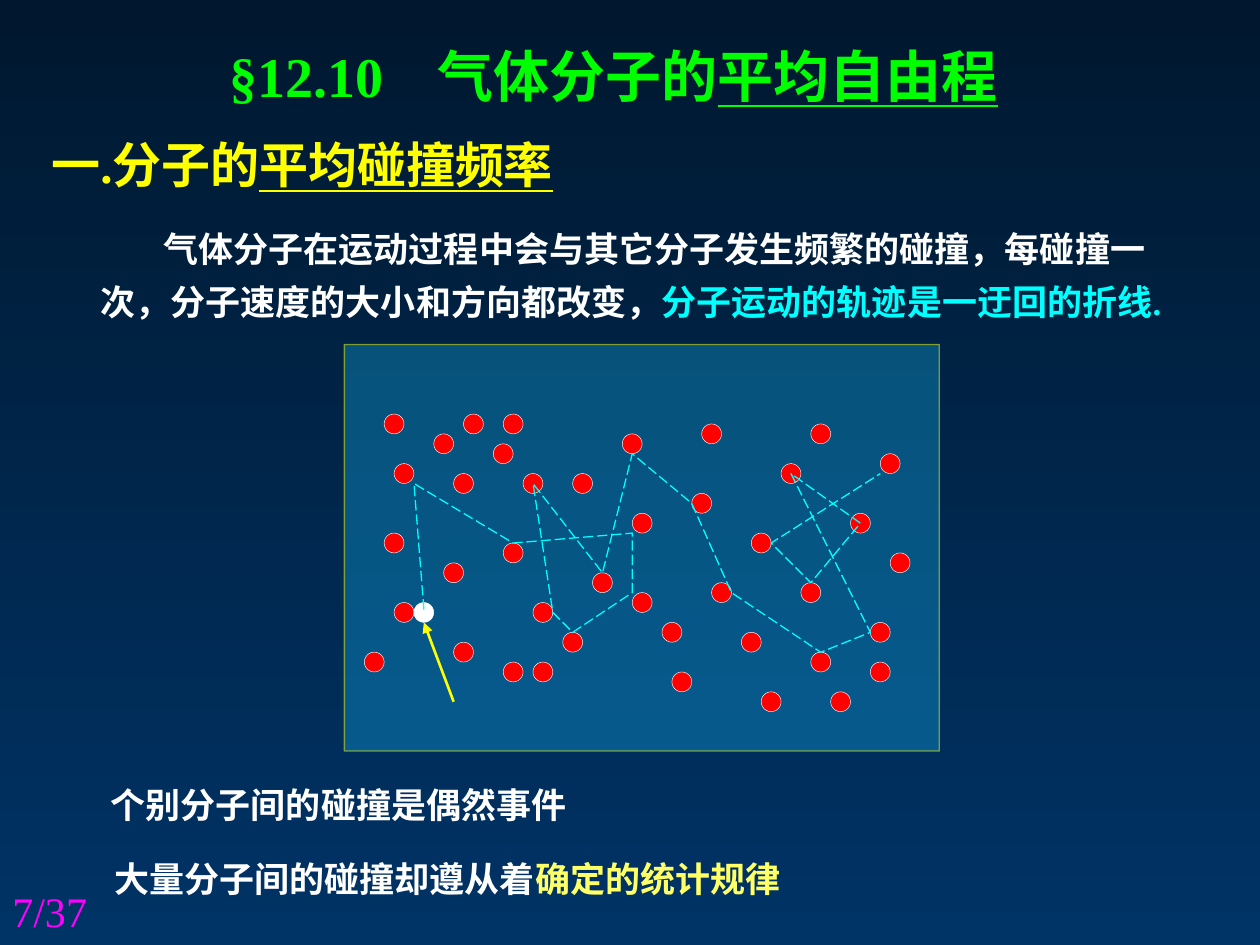
import lxml.etree
import pptx
import pptx.dml.color
import pptx.enum.dml
import pptx.enum.shapes
import pptx.enum.text
import pptx.oxml.ns
import pptx.util

Pt = pptx.util.Pt
qn = pptx.oxml.ns.qn

COLORS = {
    "night": "00182F", "navy": "003366", "panel": "17C2FF",
    "yellow": "FFFF00", "pale": "FFFF66", "white": "FFFFFF",
    "red": "FF0000", "cyan": "00FFFF", "green": "00FF00", "magenta": "FF00FF",
}
FONT = "Times New Roman"
GRID_LEFT, GRID_TOP, GRID_STEP = 208.2, 236.6, 5.67
DIAMETER = 2 * GRID_STEP

MOLECULES = [
    (0, 24), (2, 12), (3, 19), (2, 0), (7, 2), (10, 0), (13, 3), (14, 0),
    (3, 5), (9, 6), (8, 15), (9, 23), (14, 25), (17, 25), (40, 28), (47, 28),
    (34, 1), (45, 1), (42, 5), (52, 4), (26, 2), (33, 8), (49, 10), (53, 14),
    (39, 12), (27, 18), (31, 26), (30, 21), (35, 17), (38, 22), (45, 24),
    (51, 21), (51, 25), (44, 17), (21, 6), (16, 6), (14, 13), (17, 19),
    (20, 22), (23, 16), (27, 10),
]
TRACK = [
    (6, 19.7), (5, 7), (15, 13), (27, 12), (27, 18), (21, 22), (19, 20),
    (17, 7), (24, 16), (27, 4), (33, 9), (37, 18), (46, 24), (51, 22),
    (43, 6), (50, 11), (45, 17), (41, 13), (52, 6),
]


def rgb(name):
    return pptx.dml.color.RGBColor.from_string(COLORS[name])


def grid(column, row):
    return Pt(GRID_LEFT + column * GRID_STEP), Pt(GRID_TOP + row * GRID_STEP)


def set_line(shape, color, width):
    shape.line.color.rgb = rgb(color)
    shape.line.width = Pt(width)


def set_alpha(fill, percent):
    color = fill.find(qn("a:srgbClr"))
    lxml.etree.SubElement(color, qn("a:alpha"), val=str(percent * 1000))


def paint_background(slide):
    fill = slide.background.fill
    fill.gradient()
    fill.gradient_angle = 270
    for stop, color, position in zip(fill.gradient_stops, ("night", "navy"), (0, 1)):
        stop.color.rgb = rgb(color)
        stop.position = position


def add_panel(slide):
    panel = slide.shapes.add_shape(
        pptx.enum.shapes.MSO_SHAPE.RECTANGLE, Pt(196.8), Pt(196.8), Pt(340), Pt(232.4))
    panel.shadow.inherit = False
    panel.fill.solid()
    panel.fill.fore_color.rgb = rgb("panel")
    set_line(panel, "yellow", 0.75)
    properties = panel._element.spPr
    set_alpha(properties.find(qn("a:solidFill")), 30)
    set_alpha(properties.find(qn("a:ln")).find(qn("a:solidFill")), 50)


def add_molecule(shapes, column, row, color):
    molecule = shapes.add_shape(
        pptx.enum.shapes.MSO_SHAPE.OVAL, *grid(column, row), Pt(DIAMETER), Pt(DIAMETER))
    molecule.shadow.inherit = False
    molecule.fill.solid()
    molecule.fill.fore_color.rgb = rgb(color)
    set_line(molecule, "white", 0.25)


def add_arrow(slide, start, end):
    arrow = slide.shapes.add_connector(
        pptx.enum.shapes.MSO_CONNECTOR.STRAIGHT, *grid(*start), *grid(*end))
    set_line(arrow, "yellow", 1.5)
    properties = arrow._element.spPr
    lxml.etree.SubElement(properties.find(qn("a:ln")), qn("a:tailEnd"), type="triangle")
    lxml.etree.SubElement(properties, qn("a:effectLst"))


def add_track(slide):
    points = [grid(*point) for point in TRACK]
    builder = slide.shapes.build_freeform(*points[0])
    builder.add_line_segments(points[1:], close=False)
    track = builder.convert_to_shape()
    track.shadow.inherit = False
    track.fill.background()
    set_line(track, "cyan", 0.75)
    track.line.dash_style = pptx.enum.dml.MSO_LINE.LONG_DASH


def add_text(slide, left, top, width, height, paragraphs, size, bold=True, spacing=None):
    box = slide.shapes.add_textbox(Pt(left), Pt(top), Pt(width), Pt(height))
    frame = box.text_frame
    frame.word_wrap = True
    if bold:
        frame.auto_size = pptx.enum.text.MSO_AUTO_SIZE.SHAPE_TO_FIT_TEXT
    for index, runs in enumerate(paragraphs):
        paragraph = frame.add_paragraph() if index else frame.paragraphs[0]
        if spacing:
            paragraph.line_spacing = spacing
        if index:
            paragraph.space_before = Pt(size * 0.2)
        for text, color, underline in runs:
            run = paragraph.add_run()
            run.text = text
            run.font.name = FONT
            run.font.size = Pt(size)
            run.font.bold = bold
            run.font.underline = underline
            run.font.color.rgb = rgb(color)
    return frame.paragraphs[0]


def set_tab(paragraph, position):
    tabs = lxml.etree.SubElement(paragraph._p.get_or_add_pPr(), qn("a:tabLst"))
    lxml.etree.SubElement(tabs, qn("a:tab"), pos=str(Pt(position)), algn="l")


def set_first_indent(paragraph, indent):
    properties = paragraph._p.get_or_add_pPr()
    properties.set("marL", "0")
    properties.set("indent", str(Pt(indent)))


def main():
    presentation = pptx.Presentation()
    presentation.slide_width, presentation.slide_height = Pt(720), Pt(540)
    slide = presentation.slides.add_slide(presentation.slide_layouts[6])
    paint_background(slide)

    add_panel(slide)
    body = add_text(slide, 50.4, 123.8, 652.3, 63.4, [
        [("气体分子在运动过程中会与其它分子发生频繁的碰撞，每碰撞一", "white", False)],
        [("次，分子速度的大小和方向都改变，", "white", False),
         ("分子运动的轨迹是一迂回的折线.", "cyan", False)],
    ], 20, spacing=1.1)
    set_first_indent(body, 36)

    molecules = slide.shapes.add_group_shape()
    for column, row in MOLECULES:
        add_molecule(molecules.shapes, column, row, "red")
    add_molecule(slide.shapes, 5, 19, "white")
    add_arrow(slide, (9, 29), (6, 21))
    add_track(slide)

    add_text(slide, 56.2, 444.2, 444.2, 31.7,
             [[("个别分子间的碰撞是偶然事件", "white", False)]], 20)
    add_text(slide, 58.3, 478.1, 554.4, 39.6, [
        [("大量分子间的碰撞却遵从着", "white", False), ("确定的统计规律", "pale", False)],
    ], 20, spacing=1.35)
    title = add_text(slide, 123.8, 20.2, 488.9, 45.4, [
        [("§12.10\t气体分子的", "green", False), ("平均自由程", "green", True)],
    ], 32)
    set_tab(title, 119)
    add_text(slide, 22.3, 73.4, 360, 41, [
        [("一.分子的", "yellow", False), ("平均碰撞频率", "yellow", True)],
    ], 28)
    add_text(slide, 0, 502.6, 167.8, 37.4, [[("7/37", "magenta", False)]], 24, bold=False)

    presentation.save("out.pptx")


if __name__ == "__main__":
    main()
